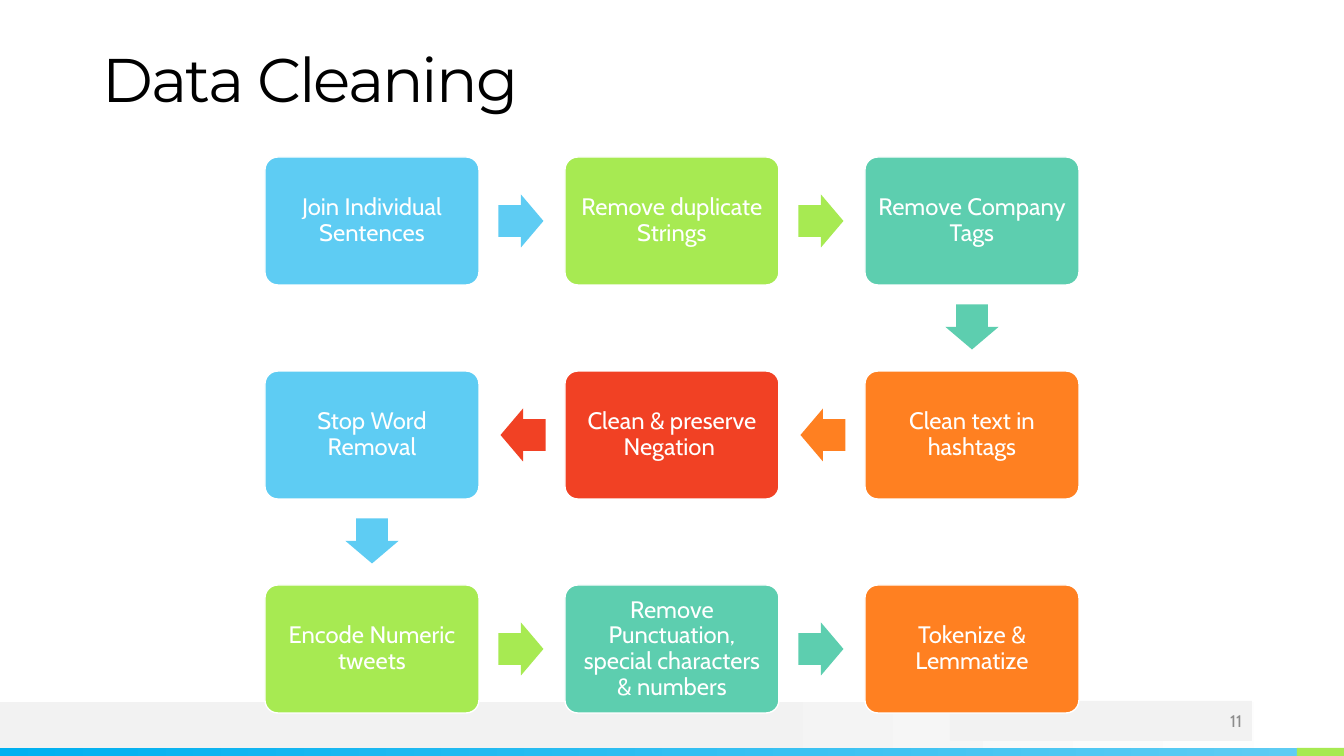
from pptx import Presentation
from pptx.dml.color import RGBColor
from pptx.enum.shapes import MSO_SHAPE
from pptx.enum.text import MSO_ANCHOR, PP_ALIGN
from pptx.util import Pt

# Content: steps in reading order of the flow, which snakes through the grid
TITLE = "Data Cleaning"
PAGE_NUMBER = "11"
STEPS = [
    ("Join Individual Sentences", "sky"),
    ("Remove duplicate Strings", "lime"),
    ("Remove Company Tags", "teal"),
    ("Clean text in hashtags", "orange"),
    ("Clean & preserve Negation ", "red"),
    ("Stop Word Removal", "sky"),
    ("Encode Numeric tweets", "lime"),
    ("Remove Punctuation, special characters & numbers", "teal"),
    ("Tokenize & Lemmatize", "orange"),
]

THEME = {
    "sky": "5ECCF3", "lime": "A7EA52", "teal": "5DCEAF",
    "orange": "FF8021", "red": "F14124", "blue": "00B0F0",
    "band": "F2F2F2", "white": "FFFFFF", "black": "000000", "gray": "8C8C8C",
    "title": {"name": "Montserrat", "size": Pt(44)},
    "step": {"name": "Cabin", "size": Pt(17)},
    "number": {"name": "Cabin", "size": Pt(12)},
}

# Layout in px
PX = 914400 / 100.8
PAGE = (1344, 756)
COLUMNS = 3
GRID_LEFT, GRID_TOP = 265, 157
PITCH_X, PITCH_Y = 300, 214
BOX_W, BOX_H = 214, 128
ARROW_W, ARROW_H = 45, 53
# Arrow centre, measured from the centre of the box it leaves
ARROW_SHIFT = {0: (149, 0), 180: (-149, 0), 90: (0, 106)}


def emu(*lengths):
    return [round(length * PX) for length in lengths]


def color(name):
    return RGBColor.from_string(THEME[name])


def add_block(page, kind, area, fill, line=None):
    block = page.shapes.add_shape(kind, *emu(*area))
    block.shadow.inherit = False
    if isinstance(fill, list):
        block.fill.gradient()
        block.fill.gradient_angle = 0
        for stop, (position, name) in zip(block.fill.gradient_stops, fill):
            stop.position = position
            stop.color.rgb = color(name)
    else:
        block.fill.solid()
        block.fill.fore_color.rgb = color(fill)
    if line:
        block.line.color.rgb = color(line)
        block.line.width = Pt(1)
    else:
        block.line.fill.background()
    return block


def write(box, text, style, ink, para_format, inset=None):
    frame = box.text_frame
    frame.word_wrap = True
    frame.vertical_anchor = MSO_ANCHOR.MIDDLE
    if inset is not None:
        for side in ("left", "right", "top", "bottom"):
            setattr(frame, f"margin_{side}", emu(inset)[0])
    para = frame.paragraphs[0]
    for key, value in para_format.items():
        setattr(para, key, value)
    span = para.add_run()
    span.text = text
    for key, value in THEME[style].items():
        setattr(span.font, key, value)
    span.font.color.rgb = color(ink)
    return span


def add_frame(page):
    # Footer bands
    for area, fill in [
        ((0, 702, 1344, 46), [(0.53, "band"), (1, "white")]),
        ((0, 748, 1297, 8), [(0, "blue"), (1, "sky")]),
        ((1297, 748, 47, 8), "lime"),
    ]:
        add_block(page, MSO_SHAPE.RECTANGLE, area, fill)

    # Title
    title = page.shapes.add_textbox(*emu(93, 10, 1159, 146))
    span = write(title, TITLE, "title", "black",
                 {"alignment": PP_ALIGN.LEFT, "line_spacing": 0.9})
    span._r.get_or_add_rPr().set("spc", "-150")

    # Page number
    number = add_block(page, MSO_SHAPE.RECTANGLE, (950, 701, 302, 40), "band")
    write(number, PAGE_NUMBER, "number", "gray",
          {"alignment": PP_ALIGN.RIGHT, "space_after": Pt(6)})


def add_flow(page):
    for index, (text, fill) in enumerate(STEPS):
        row, place = divmod(index, COLUMNS)
        backward = row % 2 == 1
        column = COLUMNS - 1 - place if backward else place
        left = GRID_LEFT + column * PITCH_X
        top = GRID_TOP + row * PITCH_Y

        # Step box
        box = add_block(page, MSO_SHAPE.ROUNDED_RECTANGLE,
                        (left, top, BOX_W, BOX_H), fill, "white")
        box.adjustments[0] = 0.1
        write(box, text, "step", "white",
              {"alignment": PP_ALIGN.CENTER, "line_spacing": 0.9}, inset=7)

        # Arrow to the next step: down at a row end, else along the row
        if index == len(STEPS) - 1:
            continue
        turn = 90 if place == COLUMNS - 1 else 180 if backward else 0
        shift_x, shift_y = ARROW_SHIFT[turn]
        arrow = add_block(page, MSO_SHAPE.RIGHT_ARROW, (
            left + BOX_W / 2 + shift_x - ARROW_W / 2,
            top + BOX_H / 2 + shift_y - ARROW_H / 2,
            ARROW_W, ARROW_H), fill)
        arrow.rotation = turn
        arrow.adjustments[0] = 0.6
        arrow.adjustments[1] = 0.5


def main():
    deck = Presentation()
    deck.slide_width, deck.slide_height = emu(*PAGE)
    page = deck.slides.add_slide(deck.slide_layouts[6])
    add_frame(page)
    add_flow(page)
    deck.save("out.pptx")


if __name__ == "__main__":
    main()
